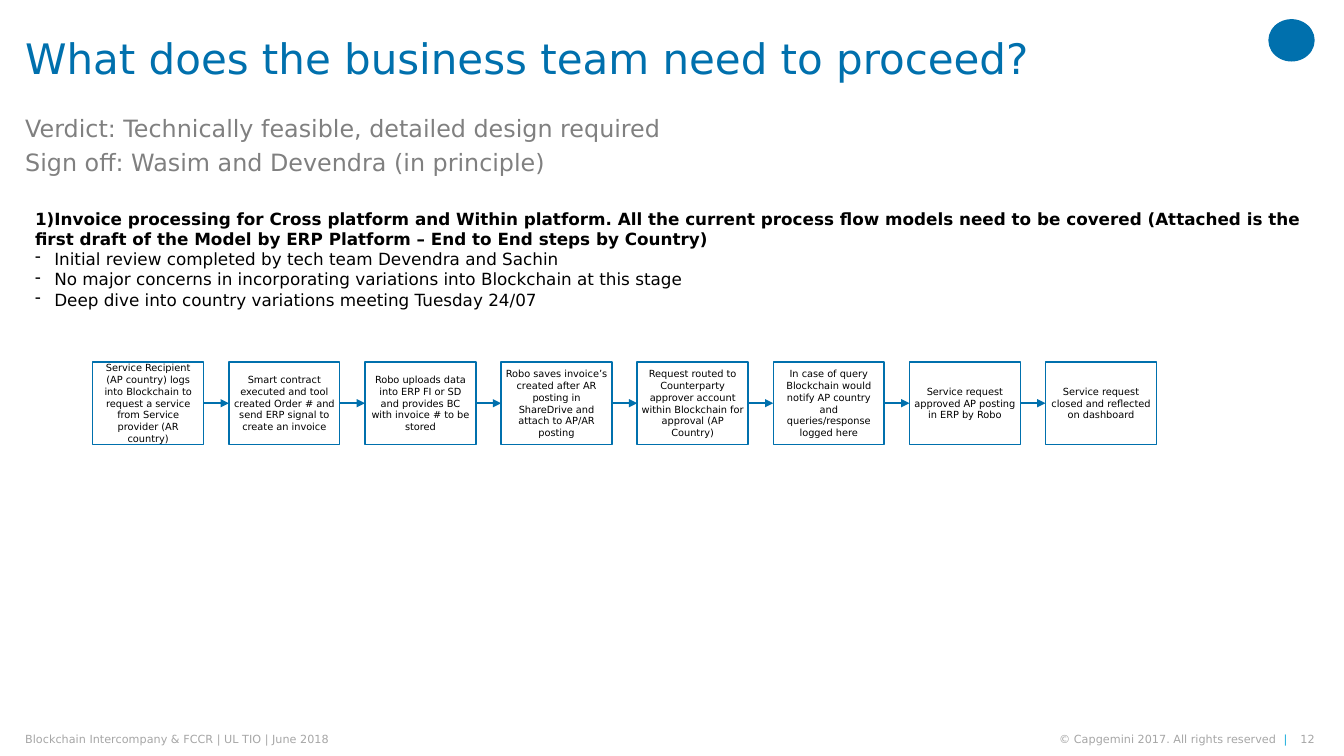
"""Build the slide on what the business team needs to proceed."""
from lxml import etree
from pptx import Presentation
from pptx.dml.color import RGBColor
from pptx.enum.shapes import MSO_CONNECTOR, MSO_SHAPE
from pptx.enum.text import MSO_ANCHOR, PP_ALIGN
from pptx.oxml.ns import qn
from pptx.util import Inches, Pt

LEFT, CENTER, RIGHT = PP_ALIGN.LEFT, PP_ALIGN.CENTER, PP_ALIGN.RIGHT
TOP, MIDDLE = MSO_ANCHOR.TOP, MSO_ANCHOR.MIDDLE
RECTANGLE, OVAL = MSO_SHAPE.RECTANGLE, MSO_SHAPE.OVAL
ELBOW = MSO_CONNECTOR.ELBOW
RIGHT_SITE, LEFT_SITE = 3, 1

TITLE = "What does the business team need to proceed?"
VERDICT = [
    "Verdict: Technically feasible, detailed design required",
    "Sign off: Wasim and Devendra (in principle)",
]
REQUIREMENT = (
    "1)Invoice processing for Cross platform and Within platform. All the current process "
    "flow models need to be covered (Attached is the first draft of the Model by ERP "
    "Platform – End to End steps by Country)"
)
FINDINGS = [
    "Initial review completed by tech team Devendra and Sachin",
    "No major concerns in incorporating variations into Blockchain at this stage",
    "Deep dive into country variations meeting Tuesday 24/07",
]
STEPS = [
    "Service Recipient (AP country) logs into Blockchain to request a service from "
    "Service provider (AR country)",
    "Smart contract executed and tool created Order # and send ERP signal to create an invoice",
    "Robo uploads data into ERP FI or SD and provides BC with invoice # to be stored",
    "Robo saves invoice’s created after AR posting in ShareDrive and attach to AP/AR posting",
    "Request routed to Counterparty approver account within Blockchain for approval (AP Country)",
    "In case of query Blockchain would notify AP country and queries/response logged here",
    "Service request approved AP posting in ERP by Robo",
    "Service request closed and reflected on dashboard",
]
FOOTER = "Blockchain Intercompany & FCCR | UL TIO | June 2018"
COPYRIGHT = "© Capgemini 2017. All rights reserved\u00a0 "
PAGE = "12"

THEME = {
    "font": "DejaVu Sans",
    "blue": "0070AD", "cyan": "12ABDB", "white": "FFFFFF",
    "black": "000000", "grey": "808080", "pale": "A6A6A6",
    "title": 30, "verdict": 17, "body": 12, "step": 7, "footer": 8,
    "box_line": 1, "arrow_line": 1.5,
}
MARGIN, CONTENT_WIDTH = 0.25, 12.8
FOOTER_TOP, FOOTER_HEIGHT = 7.27, 0.13
STEP_LEFT, STEP_TOP, STEP_PITCH = 0.92, 3.59, 1.35
STEP_WIDTH, STEP_HEIGHT, STEP_INSET = 1.1, 0.82, 0.04
BULLET_INDENT = 0.19


def color(key):
    return RGBColor.from_string(THEME[key])


def set_all(target, values):
    for key, value in values.items():
        setattr(target, key, value)


def set_frame(frame, anchor=TOP, inset=(0, 0)):
    across, down = (Inches(side) for side in inset)
    set_all(frame, {
        "word_wrap": True, "vertical_anchor": anchor,
        "margin_left": across, "margin_right": across,
        "margin_top": down, "margin_bottom": down,
    })


def add_text(paragraph, text, size, ink, bold=False):
    run = paragraph.add_run()
    run.text = text
    set_all(run.font, {"name": THEME["font"], "size": Pt(THEME[size]), "bold": bold})
    run.font.color.rgb = color(ink)


def add_box(slide, place, lines, size, ink, anchor=TOP, align=LEFT, **spacing):
    frame = slide.shapes.add_textbox(*map(Inches, place)).text_frame
    set_frame(frame, anchor)
    for index, line in enumerate(lines):
        paragraph = frame.add_paragraph() if index else frame.paragraphs[0]
        paragraph.alignment = align
        set_all(paragraph, spacing)
        if index:
            paragraph.space_before = Pt(10)
        add_text(paragraph, line, size, ink)
    return frame


def add_requirement(slide):
    place = (MARGIN, 2.02, CONTENT_WIDTH, 1.31)
    frame = slide.shapes.add_textbox(*map(Inches, place)).text_frame
    set_frame(frame, inset=(0.1, 0.05))
    add_text(frame.paragraphs[0], REQUIREMENT, "body", "black", bold=True)
    for finding in FINDINGS:
        paragraph = frame.add_paragraph()
        properties = paragraph._p.get_or_add_pPr()
        properties.set("marL", str(Inches(BULLET_INDENT)))
        properties.set("indent", str(-Inches(BULLET_INDENT)))
        etree.SubElement(properties, qn("a:buChar"), char="-")
        add_text(paragraph, finding, "body", "black")


def add_solid(slide, kind, place, fill, line=None):
    shape = slide.shapes.add_shape(kind, *map(Inches, place))
    shape.shadow.inherit = False
    shape.fill.solid()
    shape.fill.fore_color.rgb = color(fill)
    if line:
        shape.line.color.rgb = color(line)
        shape.line.width = Pt(THEME["box_line"])
    else:
        shape.line.fill.background()
    return shape


def add_step(slide, index, text):
    place = (STEP_LEFT + index * STEP_PITCH, STEP_TOP, STEP_WIDTH, STEP_HEIGHT)
    step = add_solid(slide, RECTANGLE, place, "white", "blue")
    set_frame(step.text_frame, MIDDLE, (STEP_INSET, STEP_INSET))
    paragraph = step.text_frame.paragraphs[0]
    paragraph.alignment = CENTER
    add_text(paragraph, text, "step", "black")
    return step


def add_arrow(slide, source, target):
    arrow = slide.shapes.add_connector(ELBOW, 0, 0, 0, 0)
    arrow.begin_connect(source, RIGHT_SITE)
    arrow.end_connect(target, LEFT_SITE)
    arrow.line.color.rgb = color("blue")
    arrow.line.width = Pt(THEME["arrow_line"])
    etree.SubElement(arrow.line._get_or_add_ln(), qn("a:tailEnd"), type="triangle")
    etree.SubElement(arrow._element.spPr, qn("a:effectLst"))


def add_footer(slide):
    def place(left, width):
        return left, FOOTER_TOP, width, FOOTER_HEIGHT

    add_box(slide, place(MARGIN, 5.16), [FOOTER], "footer", "pale", MIDDLE)
    rights = add_box(slide, place(9.86, 2.91), [COPYRIGHT], "footer", "pale", MIDDLE, RIGHT)
    add_text(rights.paragraphs[0], "|", "footer", "cyan")
    add_box(slide, place(12.85, 0.19), [PAGE], "footer", "pale", MIDDLE, RIGHT)


def main():
    deck = Presentation()
    deck.slide_width, deck.slide_height = Inches(13.33), Inches(7.5)
    slide = deck.slides.add_slide(deck.slide_layouts[6])
    add_solid(slide, OVAL, (12.58, 0.19, 0.46, 0.42), "blue")
    add_box(slide, (MARGIN, 0, 12.17, 1.21), [TITLE], "title", "blue", MIDDLE,
            line_spacing=0.9)
    add_box(slide, (MARGIN, 1.21, CONTENT_WIDTH, 0.55), VERDICT, "verdict", "grey",
            line_spacing=0.7)
    add_requirement(slide)
    steps = [add_step(slide, index, text) for index, text in enumerate(STEPS)]
    for source, target in zip(steps, steps[1:]):
        add_arrow(slide, source, target)
    add_footer(slide)
    deck.save("out.pptx")


if __name__ == "__main__":
    main()
